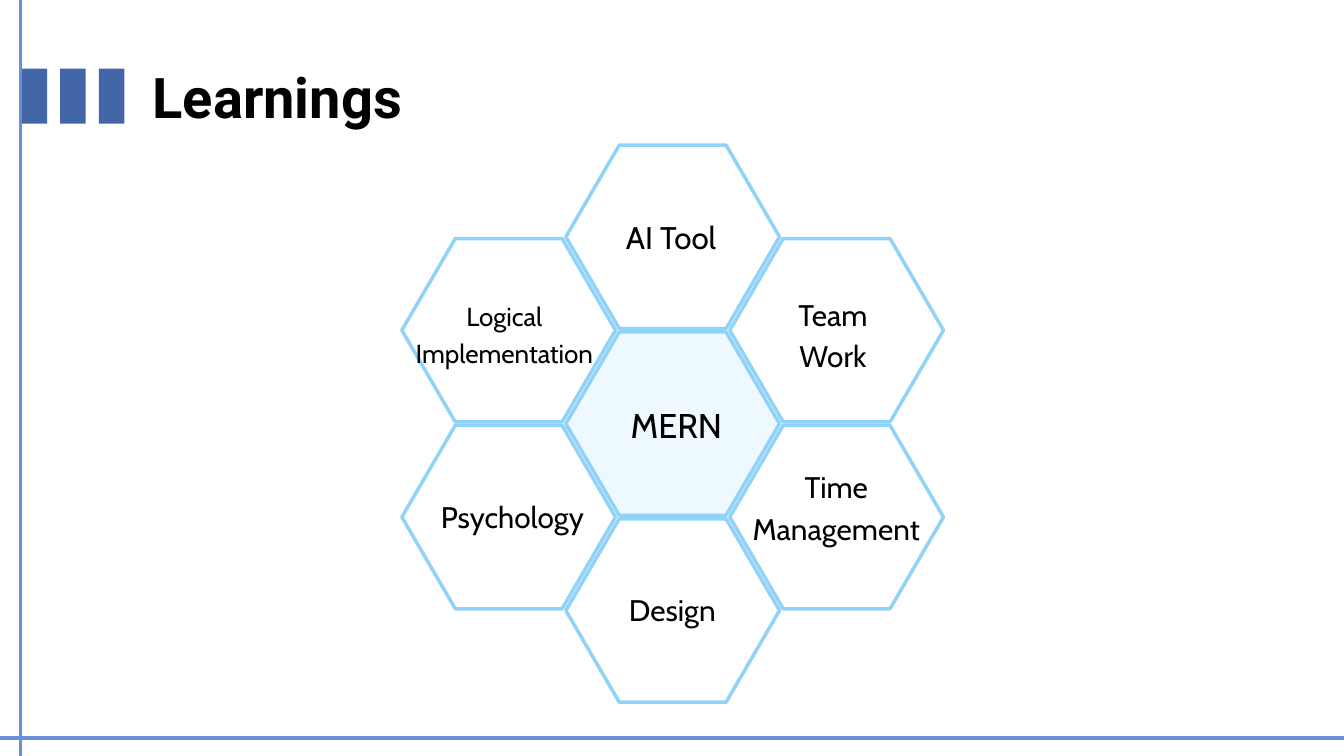
from dataclasses import dataclass

from pptx import Presentation
from pptx.dml.color import RGBColor
from pptx.enum.shapes import MSO_CONNECTOR, MSO_SHAPE
from pptx.enum.text import MSO_ANCHOR, MSO_AUTO_SIZE, PP_ALIGN
from pptx.oxml.ns import qn
from pptx.util import Inches, Pt

RECTANGLE, HEXAGON = MSO_SHAPE.RECTANGLE, MSO_SHAPE.HEXAGON
STRAIGHT = MSO_CONNECTOR.STRAIGHT
TOP, NO_FIT = MSO_ANCHOR.TOP, MSO_AUTO_SIZE.NONE
LEFT, CENTER = PP_ALIGN.LEFT, PP_ALIGN.CENTER


@dataclass(frozen=True)
class Theme:
    ink = RGBColor.from_string("000000")
    bar = RGBColor.from_string("4366A8")
    rule = RGBColor.from_string("698FD6")
    outline = RGBColor.from_string("91D2F8")
    cell = RGBColor.from_string("FFFFFF")
    core = RGBColor.from_string("EDF8FF")
    title_font, label_font = "Roboto", "Cabin"
    title_size, title_leading = 60, 84
    label_leading = 1.4
    rule_width, outline_width = 3.6, 3.75


theme = Theme()
WIDTH, HEIGHT = 20, 11.25

# Honeycomb grid: one column across, half a cell down
COLUMN, ROW = 2.44, 1.39
GRID_LEFT, GRID_TOP = 5.98, 2.16
CELL_WIDTH, CELL_HEIGHT = 3.18, 2.73
LABEL_WIDTH = 3.09

# text, column, row, type size, label shift right, label top
CELLS = [
    ("Logical\nImplementation", 0, 1, 27.9, -0.02, 4.40),
    ("MERN", 1, 2, 36.7, 0.10, 5.92),
    ("Time\nManagement", 2, 3, 31.9, 0.04, 6.89),
    ("Team\nWork", 2, 1, 31.9, -0.01, 4.32),
    ("Psychology", 0, 3, 31.9, 0.10, 7.34),
    ("AI Tool", 1, 0, 33.5, 0.02, 3.15),
    ("Design", 1, 4, 31.9, 0.04, 8.71),
]


def add_filled_shape(kind, left, top, width, height, color):
    shape = slide.shapes.add_shape(
        kind, Inches(left), Inches(top), Inches(width), Inches(height))
    shape.shadow.inherit = False
    shape.fill.solid()
    shape.fill.fore_color.rgb = color
    shape.line.fill.background()
    return shape


def write_text(box, text, align, leading, font_values):
    frame = box.text_frame
    frame_values = {"word_wrap": True, "auto_size": NO_FIT, "vertical_anchor": TOP,
                    "margin_left": 0, "margin_top": 0,
                    "margin_right": 0, "margin_bottom": 0}
    for name, value in frame_values.items():
        setattr(frame, name, value)
    frame.text = text
    for para in frame.paragraphs:
        para.alignment = align
        para.line_spacing = Pt(leading)
        para.space_before = Pt(0)
        for span in para.runs:
            for name, value in font_values.items():
                setattr(span.font, name, value)
            span.font.color.rgb = theme.ink


deck = Presentation()
deck.slide_width, deck.slide_height = Inches(WIDTH), Inches(HEIGHT)
slide = deck.slides.add_slide(deck.slide_layouts[5])

# Title
title = slide.shapes.title
title.left, title.top = Inches(2.27), Inches(0.76)
title.width, title.height = Inches(11.86), Inches(1.22)
write_text(title, "Learnings", LEFT, theme.title_leading,
           {"name": theme.title_font, "size": Pt(theme.title_size), "bold": True})

# Three bars beside the title
for index in range(3):
    add_filled_shape(RECTANGLE, 0.32 + index * 0.575, 1.02, 0.38, 0.82, theme.bar)

# Rules along the bottom and the left edge
rule_x, rule_y = 0.305, 10.985
for start_x, start_y, end_x, end_y in [(0, rule_y, WIDTH, rule_y),
                                       (rule_x, 0, rule_x, HEIGHT)]:
    rule = slide.shapes.add_connector(
        STRAIGHT, Inches(start_x), Inches(start_y), Inches(end_x), Inches(end_y))
    rule.line.color.rgb = theme.rule
    rule.line.width = Pt(theme.rule_width)
    properties = rule._element.spPr
    properties.append(properties.makeelement(qn("a:effectLst"), {}))

# Hexagons
for text, column, row, size, shift, label_top in CELLS:
    is_core = (column, row) == (1, 2)
    hexagon = add_filled_shape(
        HEXAGON, GRID_LEFT + column * COLUMN, GRID_TOP + row * ROW,
        CELL_WIDTH, CELL_HEIGHT, theme.core if is_core else theme.cell)
    hexagon.adjustments[0] = CELL_WIDTH / 4 / CELL_HEIGHT
    hexagon.line.color.rgb = theme.outline
    hexagon.line.width = Pt(theme.outline_width)

# Labels
for text, column, row, size, shift, label_top in CELLS:
    leading = size * theme.label_leading
    line_count = text.count("\n") + 1
    label = slide.shapes.add_textbox(
        Inches(GRID_LEFT + column * COLUMN + shift), Inches(label_top),
        Inches(LABEL_WIDTH), Pt(leading * line_count))
    write_text(label, text, CENTER, leading,
               {"name": theme.label_font, "size": Pt(size)})

deck.save("out.pptx")
